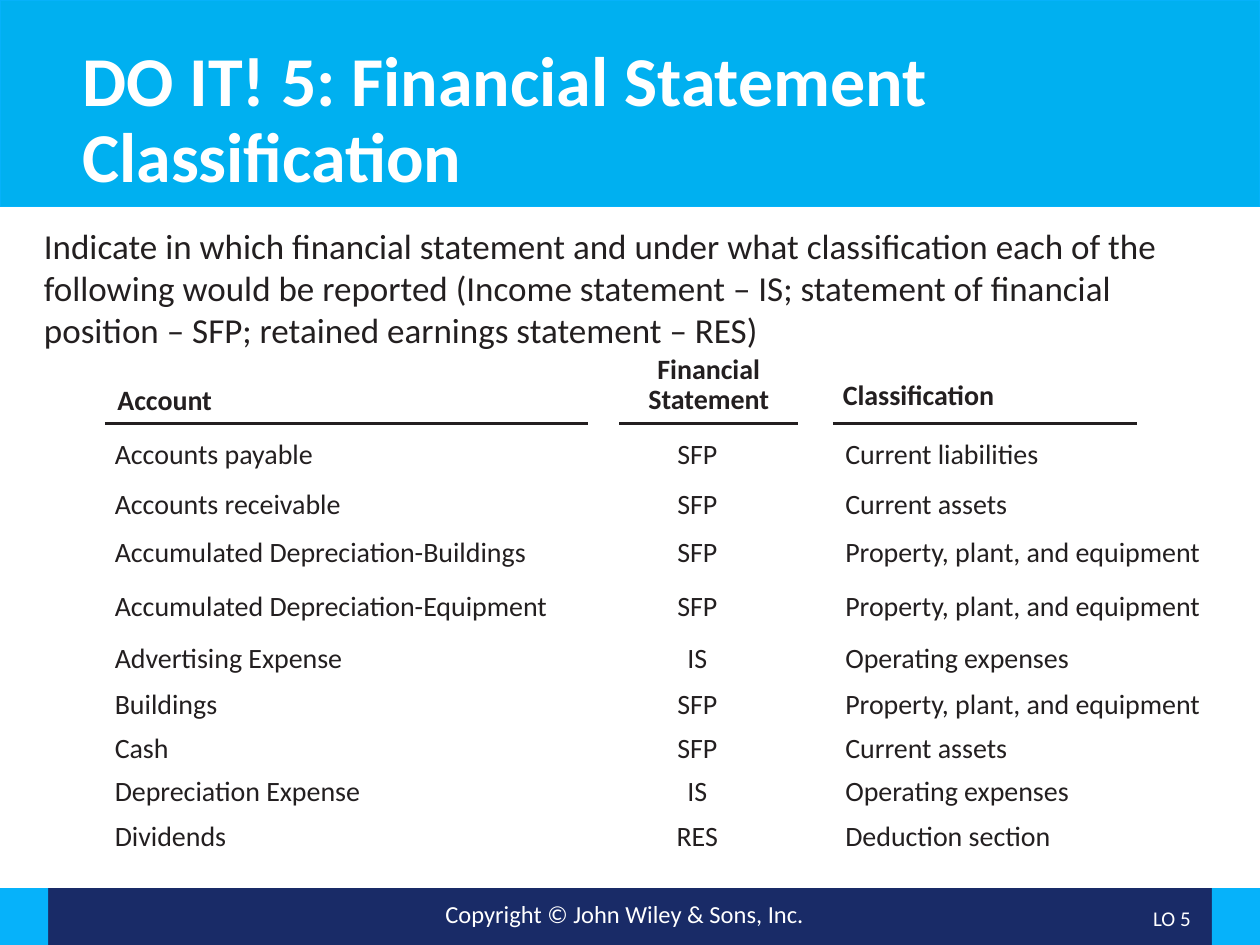
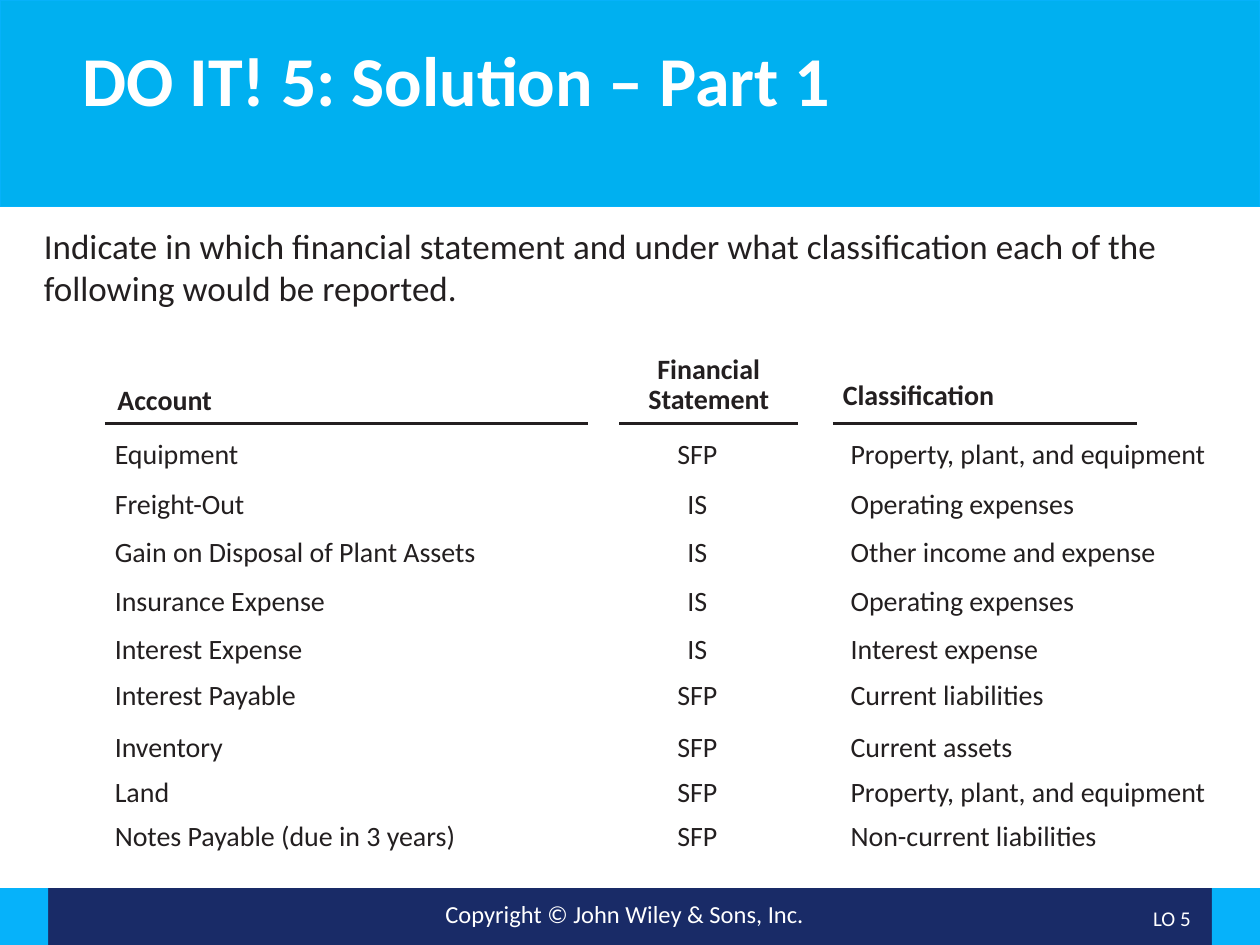
from lxml import etree
from pptx import Presentation
from pptx.dml.color import RGBColor
from pptx.enum.shapes import MSO_CONNECTOR, MSO_SHAPE
from pptx.enum.text import MSO_ANCHOR, PP_ALIGN
from pptx.oxml.ns import qn
from pptx.util import Pt

LEFT, MID, RIGHT = PP_ALIGN.LEFT, PP_ALIGN.CENTER, PP_ALIGN.RIGHT
TOP, CENTER = MSO_ANCHOR.TOP, MSO_ANCHOR.MIDDLE
RECT, LINE = MSO_SHAPE.RECTANGLE, MSO_CONNECTOR.STRAIGHT
FONT = "Calibri"
COLORS = {"sky": "00B0F0", "edge": "06B2FA", "navy": "192B67",
          "ink": "231F20", "white": "FFFFFF"}
WIDE, HIGH = 720, 540
FOOT, SIDE = 507.5, 27.5
RULES = [(60, 336), (354, 456), (476, 650)]
HEADS = [("Account", 60, 217.5, 71, LEFT),
         ("Financial Statement", 351, 199.5, 108, MID),
         ("Classification", 474.5, 214.5, 131, LEFT)]
ASK = ("Indicate in which financial statement and under what "
       "classification each of the following would be reported")
PLANT = "Property, plant, and equipment"
COSTS = "Operating expenses"
ASSETS = "Current assets"
DEBTS = "Current liabilities"


def tint(name):
    return RGBColor.from_string(COLORS[name])


class Deck:
    def __init__(self):
        self.prs = Presentation()
        self.prs.slide_width, self.prs.slide_height = Pt(WIDE), Pt(HIGH)
        self.slide = None

    def band(self, x, y, w, h, fill, edge=None):
        box = self.slide.shapes.add_shape(RECT, Pt(x), Pt(y), Pt(w), Pt(h))
        box.shadow.inherit = False
        box.fill.solid()
        box.fill.fore_color.rgb = tint(fill)
        if edge:
            box.line.color.rgb = tint(edge)
            box.line.width = Pt(1)
        else:
            box.line.fill.background()

    def text(self, words, x, y, w, h=24.5, size=16, color="ink", bold=False,
             align=LEFT, anchor=TOP, space=0.9):
        box = self.slide.shapes.add_textbox(Pt(x), Pt(y), Pt(w), Pt(h))
        frame = box.text_frame
        frame.word_wrap = True
        frame.vertical_anchor = anchor
        para = frame.paragraphs[0]
        para.alignment = align
        para.line_spacing = space
        run = para.add_run()
        run.text = words
        run.font.name = FONT
        run.font.size = Pt(size)
        run.font.bold = bold
        run.font.color.rgb = tint(color)

    def rule(self, start, end, y):
        line = self.slide.shapes.add_connector(
            LINE, Pt(start), Pt(y), Pt(end), Pt(y))
        line.line.color.rgb = tint("ink")
        line.line.width = Pt(1.5)
        etree.SubElement(line._element.spPr, qn("a:effectLst"))

    def page(self, title):
        self.slide = self.prs.slides.add_slide(self.prs.slide_layouts[6])
        self.band(SIDE, FOOT, WIDE - 2 * SIDE, HIGH - FOOT, "navy")
        for x in (0, WIDE - SIDE):
            self.band(x, FOOT, SIDE, HIGH - FOOT, "edge")
        self.text("Copyright © John Wiley & Sons, Inc.", 180, 510, 354,
                  size=14, color="white", align=MID, space=1)
        self.band(0, 0, WIDE, 118, "sky", "edge")
        self.text(title, 40, 23, 640, 80, size=40, color="white", bold=True)
        self.text("LO 5", 613.5, 513.5, 74, size=12, color="white",
                  align=RIGHT, anchor=CENTER)

    def grid(self, rows, tops, left):
        for words, x, y, w, align in HEADS:
            self.text(words, x, y, w, bold=True, align=align)
        for start, end in RULES:
            self.rule(start, end, 242)
        for (name, code, group), y in zip(rows, tops):
            self.text(name, 58.5, y, 292)
            self.text(code, 360, y, 77, align=MID)
            self.text(group, left, y, 233)


PAGES = [
    ("DO IT! 5: Financial Statement Classification",
     ASK + " (Income statement – IS; statement of financial position – SFP; "
     "retained earnings statement – RES)", 83.5, 476,
     [248, 276.5, 304, 335, 364.5, 391, 416, 440.5, 466.5],
     [("Accounts payable", "SFP", DEBTS),
      ("Accounts receivable", "SFP", ASSETS),
      ("Accumulated Depreciation-Buildings", "SFP", PLANT),
      ("Accumulated Depreciation-Equipment", "SFP", PLANT),
      ("Advertising Expense", "IS", COSTS),
      ("Buildings", "SFP", PLANT),
      ("Cash", "SFP", ASSETS),
      ("Depreciation Expense", "IS", COSTS),
      ("Dividends", "RES", "Deduction section")]),
    ("DO IT! 5: Solution – Part 1", ASK + ".", 62.5, 479,
     [248, 276.5, 304, 332, 359.5, 386, 415.5, 441.5, 466.5],
     [("Equipment", "SFP", PLANT),
      ("Freight-Out", "IS", COSTS),
      ("Gain on Disposal of Plant Assets", "IS", "Other income and expense"),
      ("Insurance Expense", "IS", COSTS),
      ("Interest Expense", "IS", "Interest expense"),
      ("Interest Payable", "SFP", DEBTS),
      ("Inventory", "SFP", ASSETS),
      ("Land", "SFP", PLANT),
      ("Notes Payable (due in 3 years)", "SFP", "Non-current liabilities")]),
]


def main():
    deck = Deck()
    for title, task, tall, left, tops, rows in PAGES:
        deck.page(title)
        deck.text(task, 18, 124.5, 663, tall, size=20, space=1)
        deck.grid(rows, tops, left)
    deck.prs.save("out.pptx")


if __name__ == "__main__":
    main()
